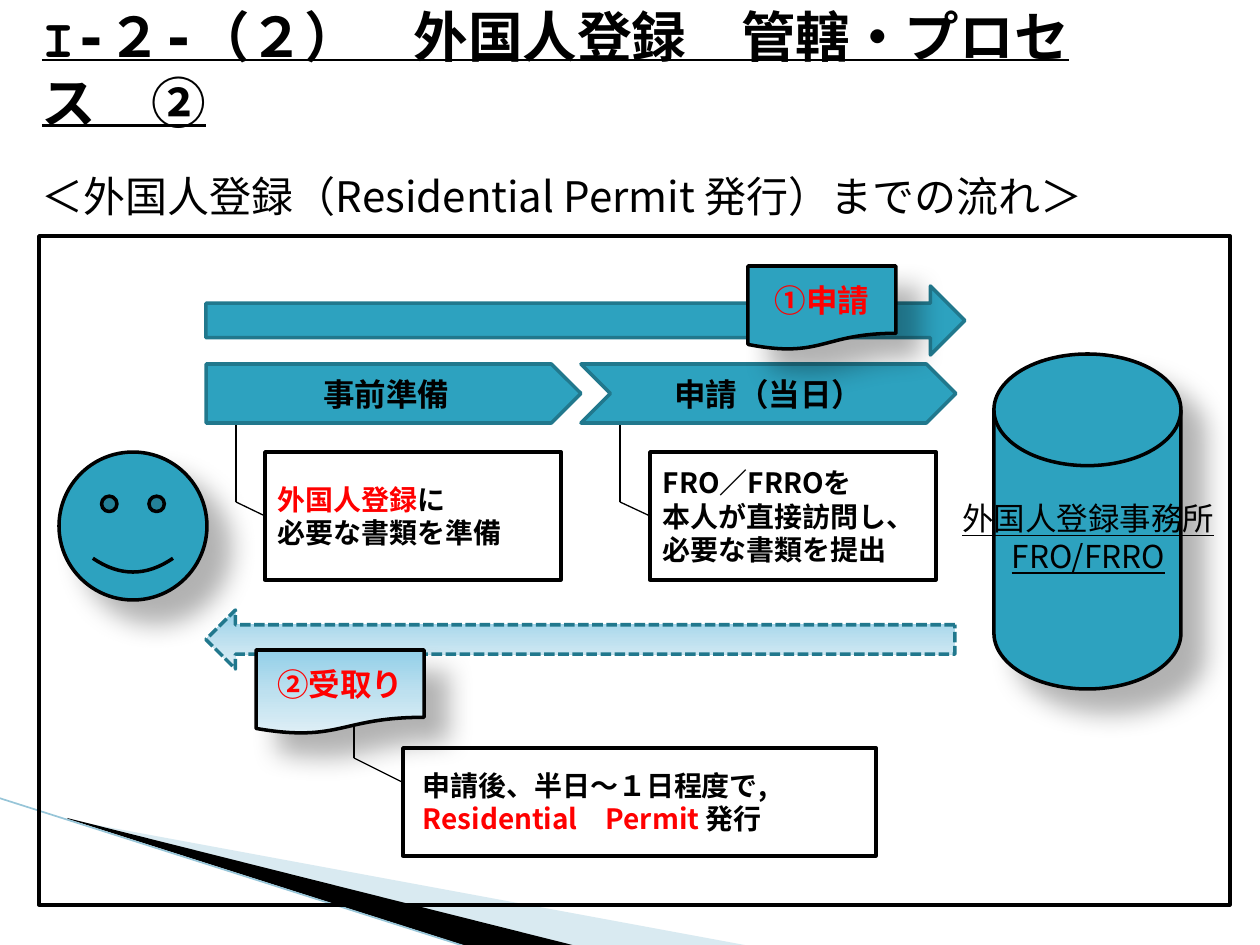
"""Build the slide on the foreigner registration process."""
from lxml.etree import SubElement
from pptx import Presentation
from pptx.dml.color import RGBColor
from pptx.enum.dml import MSO_LINE_DASH_STYLE as Dash
from pptx.enum.shapes import MSO_CONNECTOR, MSO_SHAPE as Shape
from pptx.enum.text import MSO_ANCHOR, PP_ALIGN as Align
from pptx.oxml import parse_xml
from pptx.oxml.ns import nsdecls, qn
from pptx.util import Pt

PX = 914400 // 126
MONO, SANS = "DejaVu Sans Mono", "Noto Sans CJK JP"
COLORS = {"black": "000000", "white": "FFFFFF", "red": "FF0000", "teal": "2DA2BF",
          "edge": "21788D", "wedge": "A0CBDC", "stripe": "97C5D8"}
PALE = ((0, "92CFE8"), (50, "BDE0EF"), (100, "DFEFF6"))

WEDGES = [
    ([(69, 820), (750, 946), (575, 946), (69, 819)], "wedge", 40),
    ([(67, 818), (576, 946), (469, 947), (68, 819)], "black", 100),
]
STRIPE = ((-1, 798), (467, 947))

ACTORS = [
    (Shape.SMILEY_FACE, (59, 452, 148, 148)),
    (Shape.FLOWCHART_MAGNETIC_DISK, (994, 354, 187, 335)),
]
REQUEST_ARROW = (206, 286, 759, 69)
RETURN_ARROW = (206, 610, 749, 59)

STEPS = [
    (Shape.PENTAGON, (206, 364, 375, 59), "事前準備"),
    (Shape.CHEVRON, (581, 364, 375, 59), "申請（当日）"),
]
DOCUMENTS = [
    ((748, 266, 148, 84), "teal", "①申請"),
    ((256, 650, 168, 84), PALE, "②受取り"),
]
NOTES = [
    ((265, 452, 296, 128), [(236, 423), (236, 502), (265, 516)], 13,
     [[("外国人登録", "red"), ("に", "black")], [("必要な書類を準備", "black")]]),
    ((650, 452, 286, 128), [(620, 423), (620, 502), (650, 516)], 13,
     [[("FRO／FRROを", "black")], [("本人が直接訪問し、必要な書類を提出", "black")]]),
    ((403, 748, 473, 108), [(354, 679), (354, 758), (444, 803)], 20,
     [[("申請後、半日～１日程度で,", "black")],
      [("Residential　Permit ", "red"), ("発行", "black")]]),
]
TEXTS = [
    ((29, 29, 1134, 79), ["Ⅰ-２-（２）　外国人登録　管轄・プロセス　②"],
     dict(size=31.2, font=MONO, bold=True, underline=True)),
    ((945, 483, 286, 108), ["外国人登録事務所", "FRO/FRRO"],
     dict(size=18, font=SANS, underline=True, align=Align.CENTER)),
    ((29, 137, 1123, 118), ["＜外国人登録（Residential Permit 発行）までの流れ＞"],
     dict(size=24, font=SANS)),
]
FRAME = (39, 236, 1191, 669)

deck = Presentation()
deck.slide_width, deck.slide_height = 1260 * PX, 945 * PX
shapes = deck.slides.add_slide(deck.slide_layouts[6]).shapes


def rgb(name):
    return RGBColor.from_string(COLORS[name])


def emu(lengths):
    return [length * PX for length in lengths]


def paint(shape, fill):
    if fill is None:
        shape.fill.background()
    elif isinstance(fill, str):
        shape.fill.solid()
        shape.fill.fore_color.rgb = rgb(fill)
    else:
        stops = "".join(f'<a:gs pos="{at * 1000}"><a:srgbClr val="{color}"/></a:gs>'
                        for at, color in fill)
        shape._element.spPr.find(qn("a:prstGeom")).addnext(parse_xml(
            f'<a:gradFill {nsdecls("a")} rotWithShape="1"><a:gsLst>{stops}</a:gsLst>'
            '<a:lin ang="5400000" scaled="0"/></a:gradFill>'))


def draw(kind, box, fill, edge="black", shadow=False):
    shape = shapes.add_shape(kind, *emu(box))
    paint(shape, fill)
    shape.line.color.rgb = rgb(edge)
    shape.line.width = Pt(2)
    shape.shadow.inherit = False
    if shadow:
        shape._element.spPr.find(qn("a:effectLst")).append(parse_xml(
            f'<a:outerShdw {nsdecls("a")} blurRad="{Pt(15)}" dist="{Pt(18)}" dir="2700000" '
            'algn="tl" rotWithShape="0"><a:srgbClr val="000000"><a:alpha val="30000"/>'
            '</a:srgbClr></a:outerShdw>'))
    return shape


def write(shape, lines, size, font, bold=False, underline=False, align=Align.LEFT,
          color="black", inset=13):
    frame = shape.text_frame
    frame.word_wrap = True
    frame.vertical_anchor = MSO_ANCHOR.MIDDLE
    frame.margin_left = inset * PX
    for index, line in enumerate(lines):
        paragraph = frame.add_paragraph() if index else frame.paragraphs[0]
        paragraph.alignment = align
        style = paragraph.font
        style.size, style.bold, style.underline = Pt(size), bold, underline
        style.color.rgb = rgb(color)
        style.name = font
        SubElement(paragraph._p.pPr.find(qn("a:defRPr")), qn("a:ea"), typeface=font)
        for words, tint in [(line, None)] if isinstance(line, str) else line:
            run = paragraph.add_run()
            run.text = words
            if tint:
                run.font.color.rgb = rgb(tint)


def connect(start, end, color="black", width=0.75):
    line = shapes.add_connector(MSO_CONNECTOR.STRAIGHT, *emu(start + end))
    line.line.color.rgb = rgb(color)
    line.line.width = Pt(width)
    SubElement(line._element.spPr, qn("a:effectLst"))
    return line


for corners, color, opacity in WEDGES:
    builder = shapes.build_freeform(*corners[0], scale=PX)
    builder.add_line_segments(corners[1:], close=True)
    wedge = builder.convert_to_shape()
    paint(wedge, color)
    wedge.line.fill.background()
    wedge.shadow.inherit = False
    if opacity < 100:
        tint = wedge._element.spPr.find(qn("a:solidFill"))[0]
        SubElement(tint, qn("a:alpha"), val=str(opacity * 1000))
connect(*STRIPE, "stripe", 0.95)

for kind, box in ACTORS:
    draw(kind, box, "teal", shadow=True)
draw(Shape.RIGHT_ARROW, REQUEST_ARROW, "teal", "edge")
return_arrow = draw(Shape.RIGHT_ARROW, RETURN_ARROW, PALE, "edge")
return_arrow._element.spPr.xfrm.set("flipH", "1")
return_arrow.line.dash_style = Dash.SQUARE_DOT
return_arrow.line._ln.find(qn("a:prstDash")).set("val", "sysDash")

for box, (start, bend, end), inset, lines in NOTES:
    connect(start, bend)
    leader = connect(bend, end)
    note = draw(Shape.RECTANGLE, box, "white")
    write(note, lines, 16, SANS, bold=True, inset=inset)
    if end[0] == box[0]:
        leader.end_connect(note, 1)

for kind, box, label in STEPS:
    write(draw(kind, box, "teal", "edge"), [label], 18, MONO, bold=True, align=Align.CENTER)
for box, fill, label in DOCUMENTS:
    write(draw(Shape.FLOWCHART_DOCUMENT, box, fill, shadow=True), [label], 18, MONO,
          bold=True, align=Align.CENTER, color="red")
for box, lines, style in TEXTS:
    write(shapes.add_textbox(*emu(box)), lines, **style)
draw(Shape.RECTANGLE, FRAME, None)

deck.save("out.pptx")
